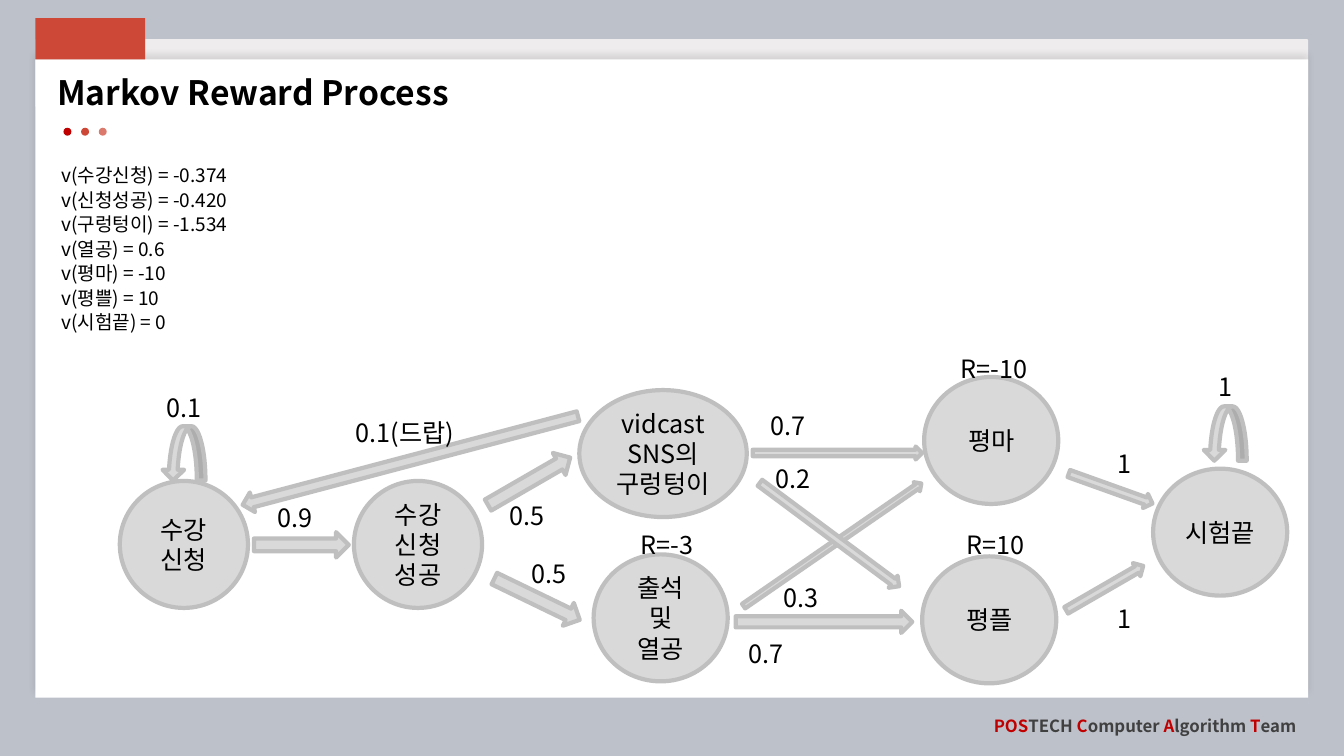
from typing import NamedTuple

from lxml.etree import SubElement
from pptx import Presentation
from pptx.dml.color import RGBColor
from pptx.enum.shapes import MSO_SHAPE as Shp
from pptx.enum.text import MSO_ANCHOR as Anchor, MSO_AUTO_SIZE as AutoSize, PP_ALIGN as Align
from pptx.oxml.ns import qn
from pptx.util import Cm, Pt

FONT = "Noto Sans CJK KR"
COLORS = {
    "back": "BDC1CA", "strip": "EEECED", "card": "FFFFFF", "tab": "CD4837",
    "red": "C00000", "pink": "DA796C", "grey": "404040", "black": "000000",
    "node": "D9D9D9", "edge": "BFBFBF",
}


class State(NamedTuple):
    x: float
    y: float
    w: float
    lines: list[str]


class Arrow(NamedTuple):
    x: float
    y: float
    w: float
    h: float
    angle: float = 0


class Label(NamedTuple):
    x: float
    y: float
    text: str
    w: float = 2.01


STATE_H, LABEL_H = 3.2, 0.97
STATES = [
    State(3.02, 12.12, 3.23, ["수강", "신청"]),
    State(8.92, 12.12, 3.23, ["수강", "신청 성공"]),
    State(14.6, 9.83, 4.22, ["vidcast SNS의", "구렁텅이"]),
    State(14.96, 13.97, 3.38, ["출석 및", "열공"]),
    State(23.24, 14.02, 3.38, ["평플"]),
    State(23.29, 9.5, 3.38, ["평마"]),
    State(29.06, 11.81, 3.38, ["시험끝"]),
]
ARROWS = [
    Arrow(6.4, 13.41, 2.39, 0.64),
    Arrow(12.14, 11.81, 2.39, 0.64, 330),
    Arrow(12.34, 14.78, 2.39, 0.64, 25.8),
    Arrow(18.54, 15.39, 4.45, 0.56),
    Arrow(18.26, 13.59, 5.44, 0.28, 325.4),
    Arrow(18.97, 11.25, 4.27, 0.33),
    Arrow(18.72, 13.28, 4.37, 0.38, 36.6),
    Arrow(5.97, 11.35, 8.74, 0.51, 165.2),
    Arrow(26.87, 12.12, 2.24, 0.38, 19.7),
    Arrow(26.72, 14.63, 2.24, 0.38, 330),
]
LOOPS = [Arrow(4.09, 10.74, 1.09, 1.37), Arrow(30.33, 10.24, 1.09, 1.37)]
LABELS = [
    Label(3.63, 9.78, "0.1"), Label(6.43, 12.55, "0.9"),
    Label(12.27, 12.5, "0.5"), Label(12.83, 13.97, "0.5"),
    Label(18.85, 10.24, "0.7"), Label(18.97, 11.58, "0.2"),
    Label(18.29, 15.98, "0.7"), Label(19.18, 14.58, "0.3"),
    Label(8.61, 10.41, "0.1(드랍)", 3.18),
    Label(27.33, 11.2, "1"), Label(27.33, 15.09, "1"), Label(29.87, 9.25, "1"),
    Label(23.8, 8.79, "R=-10", 2.49), Label(23.85, 13.23, "R=10", 2.49),
    Label(15.57, 13.23, "R=-3", 2.49),
]
VALUES = [
    ("수강신청", "-0.374"), ("신청성공", "-0.420"), ("구렁텅이", "-1.534"),
    ("열공", "0.6"), ("평마", "-10"), ("평쁠", "10"), ("시험끝", "0"),
]
TEAM = [
    ("POS", "red"), ("TECH ", "grey"), ("C", "red"), ("omputer ", "grey"),
    ("A", "red"), ("lgorithm ", "grey"), ("T", "red"), ("eam", "grey"),
]


def rgb(name: str) -> RGBColor:
    return RGBColor.from_string(COLORS[name])


def write(tf, lines, *, size=18, bold=False, align=Align.CENTER,
          anchor=Anchor.MIDDLE, wrap=True, spacing=None) -> None:
    """Fill a text frame; each line is a list of (text, colour) runs or a plain string."""
    tf.word_wrap, tf.vertical_anchor, tf.auto_size = wrap, anchor, AutoSize.NONE
    for i, line in enumerate(lines):
        p = tf.paragraphs[0] if i == 0 else tf.add_paragraph()
        pPr = p._p.get_or_add_pPr()
        pPr.set("marL", "0")
        pPr.set("indent", "0")
        SubElement(pPr, qn("a:buNone"))
        p.alignment, p.line_spacing = align, spacing
        p.space_before = Pt(0)
        for text, color in [(line, "black")] if isinstance(line, str) else line:
            r = p.add_run()
            r.text = text
            r.font.size, r.font.bold, r.font.name = Pt(size), bold, FONT
            r.font.color.rgb = rgb(color)
            SubElement(r._r.get_or_add_rPr(), qn("a:ea"), typeface=FONT)


def place(sp, x: float, y: float, w: float, h: float) -> None:
    sp.left, sp.top, sp.width, sp.height = Cm(x), Cm(y), Cm(w), Cm(h)


def add_shape(slide, kind, x: float, y: float, w: float, h: float,
              fill: str, line: str | None = None):
    sp = slide.shapes.add_shape(kind, Cm(x), Cm(y), Cm(w), Cm(h))
    sp.shadow.inherit = False
    sp.fill.solid()
    sp.fill.fore_color.rgb = rgb(fill)
    if line:
        sp.line.color.rgb = rgb(line)
        sp.line.width = Pt(3)
    else:
        sp.line.fill.background()
    return sp


def add_card_shadow(sp) -> None:
    effects = sp._element.spPr.find(qn("a:effectLst"))
    shadow = SubElement(effects, qn("a:outerShdw"), blurRad=str(Pt(4)), dist=str(Pt(3)),
                        dir="16200000", algn="b", rotWithShape="0")
    color = SubElement(shadow, qn("a:srgbClr"), val=COLORS["black"])
    SubElement(color, qn("a:alpha"), val="10000")


def add_frame(slide) -> None:
    strip = add_shape(slide, Shp.ROUNDED_RECTANGLE, 0.89, 0.99, 32.08, 1.7, "strip")
    strip.adjustments[0] = 0.015
    add_card_shadow(add_shape(slide, Shp.RECTANGLE, 0.89, 1.5, 32.08, 16.08, "card"))
    for i, color in enumerate(("red", "tab", "pink")):
        add_shape(slide, Shp.OVAL, 1.6 + 0.445 * i, 3.22, 0.2, 0.2, color)
    add_shape(slide, Shp.RECTANGLE, 0.89, 0.46, 2.77, 1.04, "tab")
    team = slide.shapes.add_textbox(Cm(24.66), Cm(17.9), Cm(8.26), Cm(0.76))
    write(team.text_frame, [TEAM], size=12, bold=True, align=Align.RIGHT, wrap=False)


def add_texts(slide) -> None:
    title, body = slide.shapes.title, slide.placeholders[1]
    for ph in (body, title):
        ph.element.getparent().append(ph.element)
    place(body, 1.3, 3.96, 31.06, 5.87)
    write(body.text_frame, [f"v({state}) = {value}" for state, value in VALUES],
          size=13.6, align=Align.LEFT, anchor=Anchor.TOP, spacing=1.07)
    place(title, 1.19, 1.8, 10.69, 1.17)
    write(title.text_frame, ["Markov Reward Process"], size=24, bold=True,
          align=Align.LEFT, spacing=0.9)


def add_diagram(slide) -> None:
    for s in STATES:
        sp = add_shape(slide, Shp.OVAL, s.x, s.y, s.w, STATE_H, "node", "edge")
        write(sp.text_frame, s.lines)
    for a in ARROWS:
        sp = add_shape(slide, Shp.RIGHT_ARROW, a.x, a.y, a.w, a.h, "node", "edge")
        sp.rotation = a.angle
    for a in LOOPS:
        sp = add_shape(slide, Shp.CURVED_DOWN_ARROW, a.x, a.y, a.w, a.h, "node", "edge")
        sp.adjustments[0], sp.adjustments[1], sp.adjustments[2] = 0.2, 0.5, 0.25
        sp._element.spPr.find(qn("a:xfrm")).set("flipH", "1")
    for lb in LABELS:
        tb = slide.shapes.add_textbox(Cm(lb.x), Cm(lb.y), Cm(lb.w), Cm(LABEL_H))
        write(tb.text_frame, [lb.text])


def main() -> None:
    prs = Presentation()
    prs.slide_width, prs.slide_height = Cm(33.87), Cm(19.05)
    slide = prs.slides.add_slide(prs.slide_layouts[1])
    slide.background.fill.solid()
    slide.background.fill.fore_color.rgb = rgb("back")
    add_frame(slide)
    add_texts(slide)
    add_diagram(slide)
    prs.save("out.pptx")


if __name__ == "__main__":
    main()
